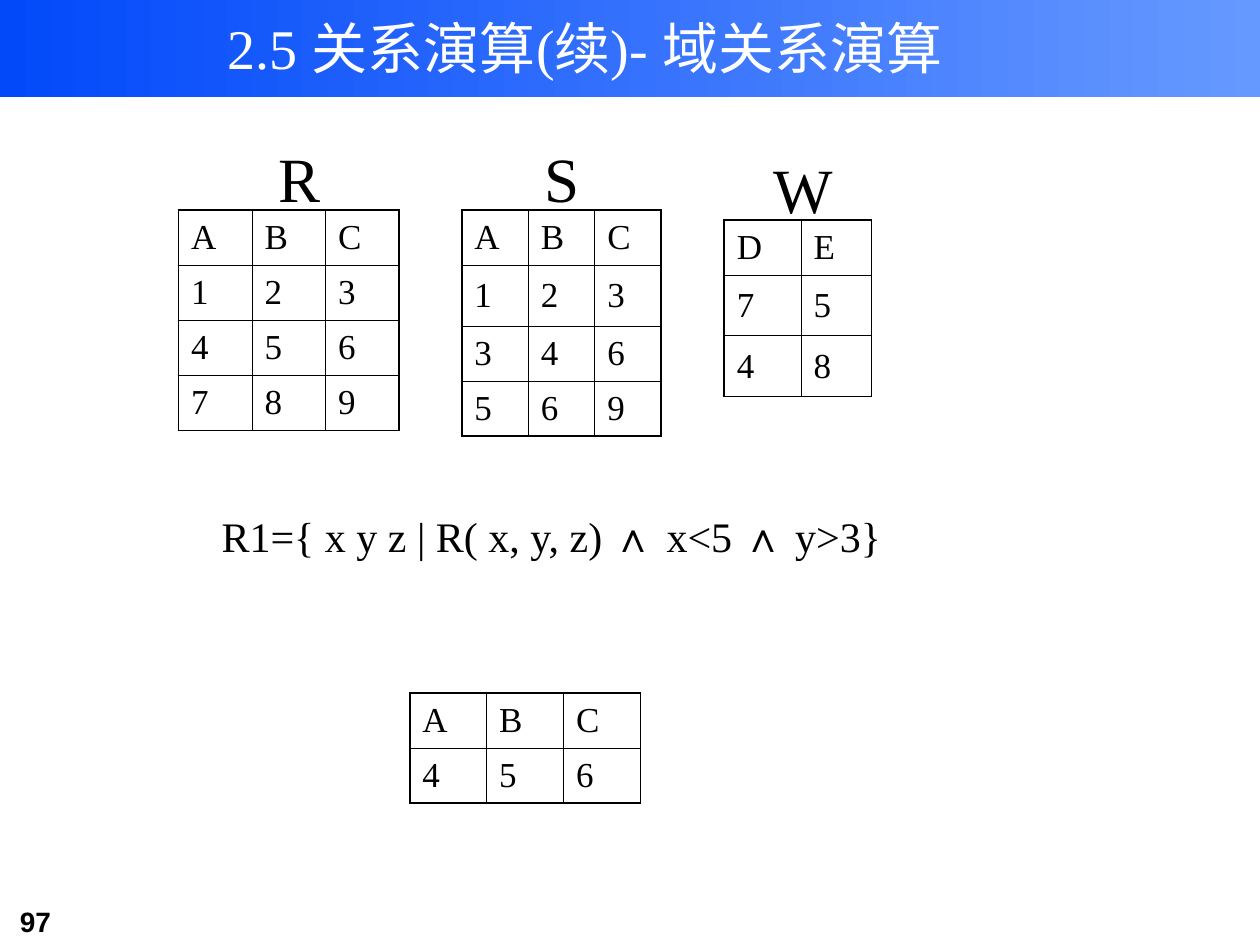
"""Build the domain relational calculus slide with its relation tables."""
from lxml import etree
from pptx import Presentation
from pptx.dml.color import RGBColor
from pptx.enum.shapes import MSO_SHAPE
from pptx.enum.text import MSO_ANCHOR, PP_ALIGN
from pptx.oxml.ns import qn
from pptx.util import Cm, Pt

RECTANGLE = MSO_SHAPE.RECTANGLE
TOP, MIDDLE = MSO_ANCHOR.TOP, MSO_ANCHOR.MIDDLE
LEFT, CENTER = PP_ALIGN.LEFT, PP_ALIGN.CENTER
COLORS = {"ink": "000000", "title": "FFFFFF", "deep": "0249FA", "light": "6699FF"}
SERIF, SANS = "Times New Roman", "Arial"
OUTER, INNER = Pt(1.08), Pt(0.45)


def add_span(para, text, size, font=SERIF, color="ink", bold=False):
    span = para.add_run()
    span.text = text
    span.font.size = Pt(size)
    span.font.name = font
    span.font.bold = bold
    span.font.color.rgb = RGBColor.from_string(COLORS[color])


def set_borders(cell, widths):
    properties = cell._tc.get_or_add_tcPr()
    for index, (side, width) in enumerate(widths.items()):
        line = etree.Element(qn(f"a:ln{side}"), w=str(int(width)))
        fill = etree.SubElement(line, qn("a:solidFill"))
        etree.SubElement(fill, qn("a:srgbClr"), val=COLORS["ink"])
        properties.insert(index, line)


deck = Presentation()
deck.slide_width, deck.slide_height = Cm(25.4), Cm(19.05)
page = deck.slides.add_slide(deck.slide_layouts[6])

banner = page.shapes.add_shape(RECTANGLE, 0, 0, deck.slide_width, Cm(1.96))
banner.shadow.inherit = False
banner.line.fill.background()
banner.fill.gradient()
banner.fill.gradient_angle = 0
for stop, name in zip(banner.fill.gradient_stops, ("deep", "light")):
    stop.color.rgb = RGBColor.from_string(COLORS[name])

relations = [
    (3.6, 4.24, [1.48] * 3, [1.11] * 4, ["ABC", "123", "456", "789"]),
    (9.31, 4.24, [1.34] * 3, [1.11, 1.22, 1.11, 1.11], ["ABC", "123", "346", "569"]),
    (8.26, 13.97, [1.55] * 3, [1.11] * 2, ["ABC", "456"]),
    (14.6, 4.44, [1.55, 1.42], [1.11, 1.22, 1.22], ["DE", "75", "48"]),
]
for left, top, widths, heights, rows in relations:
    frame = page.shapes.add_table(
        len(rows), len(widths), Cm(left), Cm(top), Cm(sum(widths)), Cm(sum(heights))
    )
    table = frame.table
    table.first_row = table.horz_banding = False
    for column, width in zip(table.columns, widths):
        column.width = Cm(width)
    for row, height in zip(table.rows, heights):
        row.height = Cm(height)
    last_row, last_column = len(rows) - 1, len(widths) - 1
    for i, values in enumerate(rows):
        for j, value in enumerate(values):
            cell = table.cell(i, j)
            cell.vertical_anchor = MIDDLE
            cell.fill.background()
            add_span(cell.text_frame.paragraphs[0], value, 20)
            set_borders(cell, {
                "L": OUTER if j == 0 else INNER,
                "R": OUTER if j == last_column else INNER,
                "T": OUTER if i == 0 else INNER,
                "B": OUTER if i == last_row else INNER,
            })

for name, left, top in [("R", 5.08, 2.54), ("S", 10.37, 2.54), ("W", 15.24, 2.75)]:
    box = page.shapes.add_textbox(Cm(left), Cm(top), Cm(1.91), Cm(1.78))
    box.text_frame.word_wrap = True
    box.text_frame.margin_top = Cm(0.28)
    box.text_frame.margin_bottom = 0
    box.text_frame.paragraphs[0].alignment = CENTER
    add_span(box.text_frame.paragraphs[0], name, 36)

formula = [
    ("R1={ x y z | R( x, y, z) ", 24, SERIF),
    ("∧ ", 24, SANS),
    ("x<5 ", 24, SERIF),
    ("∧", 24, SANS),
    (" y>3}", 24, SERIF),
]
heading = [("2.5 关系演算(续)- 域关系演算", 32, SERIF, "title")]
number = [("97", 16, SANS, "ink", True)]
for left, top, width, height, alignment, anchor, spans in [
    (2.54, 10.16, 17.15, 1.27, CENTER, TOP, formula),
    (2.64, 0.1, 18.31, 1.7, CENTER, MIDDLE, heading),
    (0.15, 18.11, 3.1, 0.94, LEFT, TOP, number),
]:
    box = page.shapes.add_textbox(Cm(left), Cm(top), Cm(width), Cm(height))
    box.text_frame.word_wrap = True
    box.text_frame.vertical_anchor = anchor
    para = box.text_frame.paragraphs[0]
    para.alignment = alignment
    for span in spans:
        add_span(para, *span)

deck.save("out.pptx")
